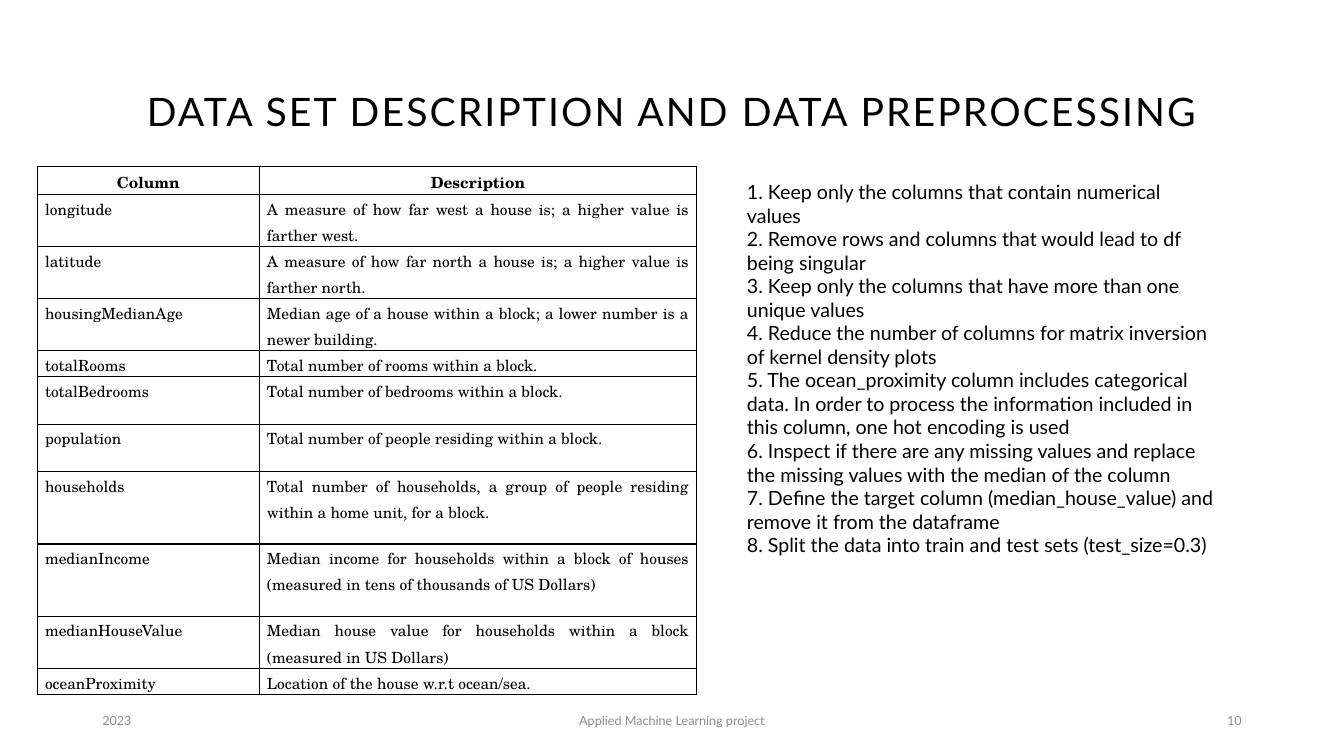
from dataclasses import dataclass
from typing import NamedTuple

from lxml import etree
from pptx import Presentation
from pptx.dml.color import RGBColor
from pptx.enum.text import MSO_ANCHOR, MSO_AUTO_SIZE, PP_ALIGN
from pptx.oxml.ns import qn
from pptx.util import Pt

LEFT, CENTER, RIGHT, JUSTIFY = PP_ALIGN.LEFT, PP_ALIGN.CENTER, PP_ALIGN.RIGHT, PP_ALIGN.JUSTIFY
TOP, MIDDLE = MSO_ANCHOR.TOP, MSO_ANCHOR.MIDDLE
NO_AUTOFIT, GROW = MSO_AUTO_SIZE.NONE, MSO_AUTO_SIZE.SHAPE_TO_FIT_TEXT


@dataclass(frozen=True)
class Theme:
    sans: str = "Lato"
    serif: str = "TeX Gyre Schola"
    ink: str = "000000"
    muted: str = "8C8C8C"
    title_size: float = 28
    list_size: float = 14
    table_size: float = 11
    footer_size: float = 9
    border: float = 1


class Box(NamedTuple):
    left: float
    top: float
    width: float
    height: float


class Field(NamedTuple):
    name: str
    description: str
    height: float


class Footer(NamedTuple):
    text: str
    left: float
    width: float
    align: PP_ALIGN


THEME = Theme()

# Row heights: text rows fit their lines, roomy rows leave space below
HEADER, ONE_LINE, TWO_LINES = 20, 18.6, 37.2
ROOMY_ONE, ROOMY_TWO = 34, 51.6

TITLE = "DATA SET DESCRIPTION AND DATA PREPROCESSING"
TITLE_BOX = Box(66, 28.8, 828, 104.4)
STEPS_BOX = Box(526.3, 125, 350.6, 283.7)
TABLE_LEFT, TABLE_TOP, COLUMN_WIDTHS = 26.8, 118.8, (158.5, 312.4)
FOOTER_TOP, FOOTER_HEIGHT = 500.5, 28.8

FIELDS = [
    Field("Column", "Description", HEADER),
    Field("longitude", "A measure of how far west a house is; a higher value is farther west.", TWO_LINES),
    Field("latitude", "A measure of how far north a house is; a higher value is farther north.", TWO_LINES),
    Field("housingMedianAge", "Median age of a house within a block; a lower number is a newer building.", TWO_LINES),
    Field("totalRooms", "Total number of rooms within a block.", ONE_LINE),
    Field("totalBedrooms", "Total number of bedrooms within a block.", ROOMY_ONE),
    Field("population", "Total number of people residing within a block.", ROOMY_ONE),
    Field("households", "Total number of households, a group of people residing within a home unit, "
          "for a block.", ROOMY_TWO),
    Field("medianIncome", "Median income for households within a block of houses "
          "(measured in tens of thousands of US Dollars)", ROOMY_TWO),
    Field("medianHouseValue", "Median house value for households within a block "
          "(measured in US Dollars)", TWO_LINES),
    Field("oceanProximity", "Location of the house w.r.t ocean/sea.", ONE_LINE),
]

STEPS = [
    "1. Keep only the columns that contain numerical values",
    "2. Remove rows and columns that would lead to df being singular",
    "3. Keep only the columns that have more than one unique values",
    "4. Reduce the number of columns for matrix inversion of kernel density plots",
    "5. The ocean_proximity column includes categorical data. In order to process the "
    "information included in this column, one hot encoding is used",
    "6. Inspect if there are any missing values and replace the missing values with "
    "the median of the column",
    "7. Define the target column (median_house_value) and remove it from the dataframe",
    "8. Split the data into train and test sets (test_size=0.3)",
]

FOOTERS = [
    Footer("2023", 66, 216, LEFT),
    Footer("Applied Machine Learning project", 318, 324, CENTER),
    Footer("10", 678, 216, RIGHT),
]


def place(sp, box: Box) -> None:
    sp.left, sp.top, sp.width, sp.height = map(Pt, box)


def format_text(tf, font: str, size: float, color: str, align: PP_ALIGN,
                spacing: float = 1.0, bold: bool = False) -> None:
    for p in tf.paragraphs:
        p.alignment, p.line_spacing = align, spacing
        p.space_before = p.space_after = Pt(0)
        for r in p.runs:
            r.font.name, r.font.size, r.font.bold = font, Pt(size), bold
            r.font.color.rgb = RGBColor.from_string(color)


def set_frame(tf, anchor: MSO_ANCHOR, auto_size: MSO_AUTO_SIZE) -> None:
    tf.word_wrap, tf.vertical_anchor, tf.auto_size = True, anchor, auto_size


def add_title(slide) -> None:
    sp = slide.shapes.title
    place(sp, TITLE_BOX)
    tf = sp.text_frame
    tf.text = TITLE
    set_frame(tf, MIDDLE, NO_AUTOFIT)
    format_text(tf, THEME.sans, THEME.title_size, THEME.ink, CENTER, 0.9)
    # Letter spacing in hundredths of a point
    tf.paragraphs[0].runs[0].font._element.set("spc", "150")


def add_steps(slide) -> None:
    sp = slide.placeholders[1]
    place(sp, STEPS_BOX)
    tf = sp.text_frame
    tf.text = "\n".join(STEPS)
    set_frame(tf, TOP, GROW)
    format_text(tf, THEME.sans, THEME.list_size, THEME.ink, LEFT)
    for p in tf.paragraphs:
        pPr = p._p.get_or_add_pPr()
        pPr.set("marL", "0")
        pPr.set("indent", "0")
        etree.SubElement(pPr, qn("a:buNone"))


def set_borders(cell) -> None:
    tcPr = cell._tc.get_or_add_tcPr()
    for i, side in enumerate(("a:lnL", "a:lnR", "a:lnT", "a:lnB")):
        ln = etree.Element(qn(side), w=str(Pt(THEME.border)))
        fill = etree.SubElement(ln, qn("a:solidFill"))
        etree.SubElement(fill, qn("a:srgbClr"), val=THEME.ink)
        tcPr.insert(i, ln)


def add_field_table(slide) -> None:
    box = Box(TABLE_LEFT, TABLE_TOP, sum(COLUMN_WIDTHS), sum(f.height for f in FIELDS))
    table = slide.shapes.add_table(len(FIELDS), len(COLUMN_WIDTHS), *map(Pt, box)).table
    table.first_row = table.horz_banding = False
    for column, width in zip(table.columns, COLUMN_WIDTHS):
        column.width = Pt(width)
    for i, (row, field) in enumerate(zip(table.rows, FIELDS)):
        row.height = Pt(field.height)
        header = i == 0
        for cell, text in zip(row.cells, (field.name, field.description)):
            cell.text_frame.text = text
            cell.margin_left = cell.margin_right = Pt(5.4)
            cell.margin_top = cell.margin_bottom = Pt(0)
            cell.fill.background()
            set_borders(cell)
            format_text(cell.text_frame, THEME.serif, THEME.table_size, THEME.ink,
                        CENTER if header else JUSTIFY, 1.15, header)


def add_footer(slide, footer: Footer) -> None:
    box = Box(footer.left, FOOTER_TOP, footer.width, FOOTER_HEIGHT)
    tf = slide.shapes.add_textbox(*map(Pt, box)).text_frame
    tf.text = footer.text
    set_frame(tf, MIDDLE, NO_AUTOFIT)
    format_text(tf, THEME.sans, THEME.footer_size, THEME.muted, footer.align)


def main() -> None:
    prs = Presentation()
    prs.slide_width, prs.slide_height = Pt(960), Pt(540)
    slide = prs.slides.add_slide(prs.slide_layouts[1])

    # Heading and footer line
    add_title(slide)
    for footer in FOOTERS:
        add_footer(slide, footer)

    # Data set columns on the left, preprocessing steps on the right
    add_field_table(slide)
    add_steps(slide)

    prs.save("out.pptx")


if __name__ == "__main__":
    main()
